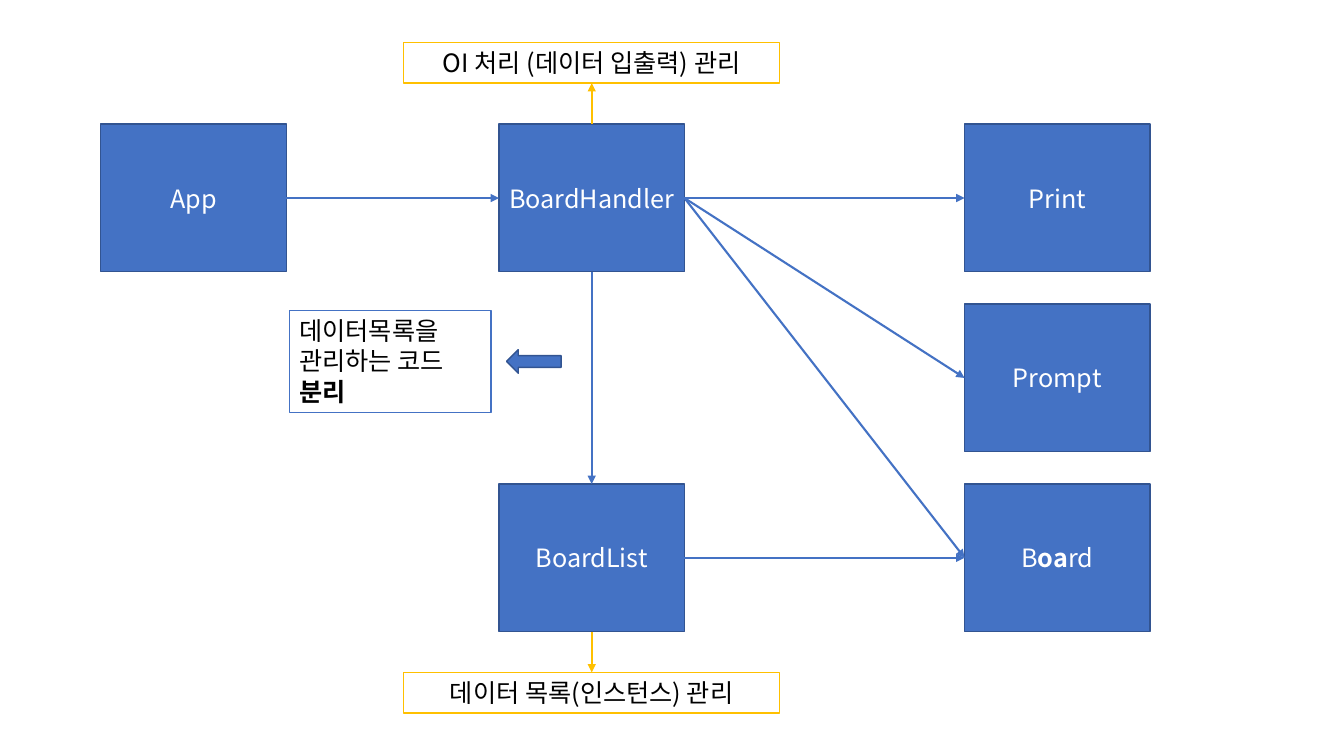
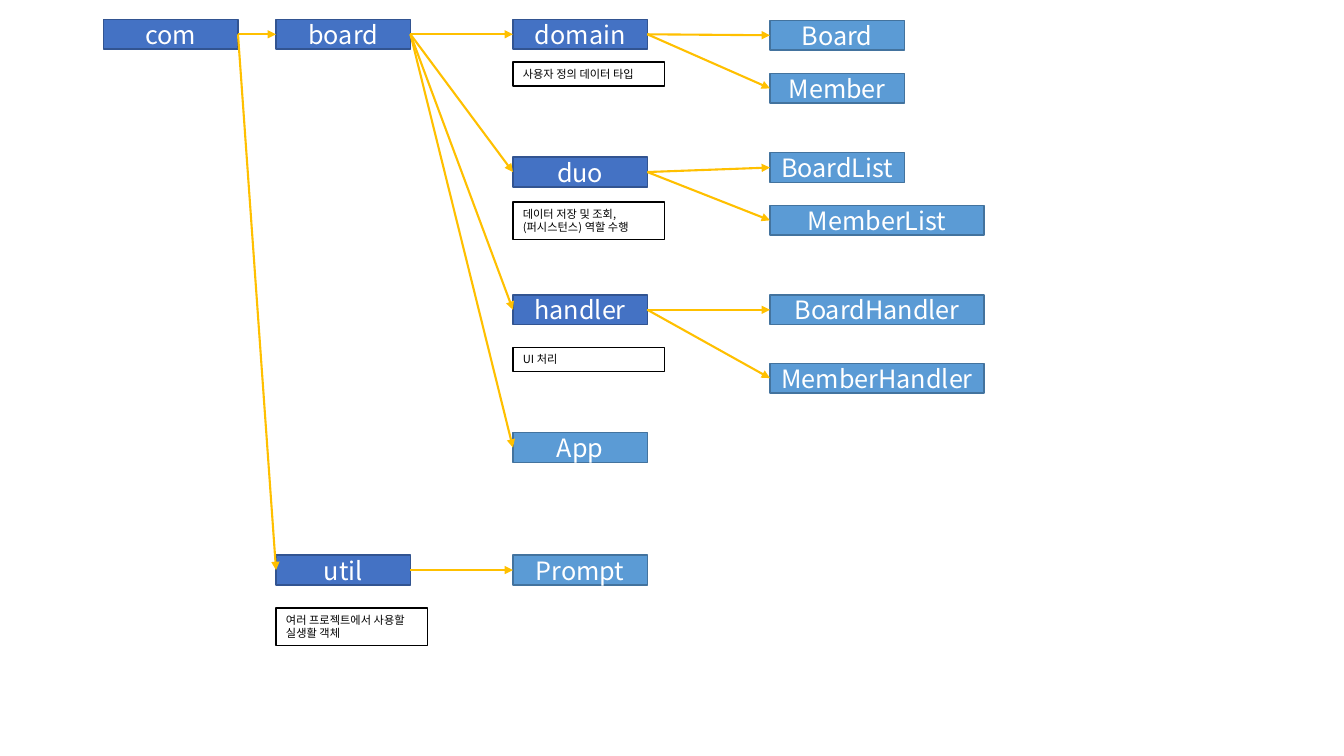
from lxml.etree import SubElement
from pptx import Presentation
from pptx.dml.color import RGBColor
from pptx.enum.shapes import MSO_CONNECTOR, MSO_SHAPE
from pptx.enum.text import MSO_ANCHOR, MSO_AUTO_SIZE, PP_ALIGN
from pptx.oxml.ns import qn
from pptx.util import Pt

FONT = "Noto Sans CJK KR"
WHITE = RGBColor(0xFF, 0xFF, 0xFF)
BLACK = RGBColor(0x00, 0x00, 0x00)
BLUE = RGBColor(0x44, 0x72, 0xC4)
DARK_BLUE = RGBColor(0x32, 0x54, 0x91)
SKY = RGBColor(0x5B, 0x9B, 0xD5)
DARK_SKY = RGBColor(0x43, 0x73, 0x9E)
GOLD = RGBColor(0xFF, 0xC0, 0x00)

# Connection sites of a rectangle
TOP, LEFT, BOTTOM, RIGHT = range(4)


def add_box(slide, area, fill, line, preset=MSO_SHAPE.RECTANGLE):
    shape = slide.shapes.add_shape(preset, *(Pt(length) for length in area))
    shape.shadow.inherit = False
    shape.fill.solid()
    shape.fill.fore_color.rgb = fill
    shape.line.color.rgb = line
    shape.line.width = Pt(1)
    return shape


def write(shape, lines, size, color, alignment):
    """Each line is a list of (text, bold) runs."""
    frame = shape.text_frame
    frame.word_wrap = True
    for index, runs in enumerate(lines):
        paragraph = frame.add_paragraph() if index else frame.paragraphs[0]
        paragraph.alignment = alignment
        paragraph.font.size = Pt(size)
        paragraph.font.color.rgb = color
        paragraph.font.name = FONT
        # Hangul takes the East Asian typeface
        defaults = paragraph._p.pPr.find(qn("a:defRPr"))
        SubElement(defaults, qn("a:ea"), typeface=FONT)
        for text, bold in runs:
            run = paragraph.add_run()
            run.text = text
            if bold:
                run.font.bold = True


def add_node(slide, area, runs, fill=BLUE, line=DARK_BLUE):
    shape = add_box(slide, area, fill, line)
    shape.text_frame.vertical_anchor = MSO_ANCHOR.MIDDLE
    write(shape, [runs], 18, WHITE, PP_ALIGN.CENTER)
    return shape


def add_note(slide, area, lines, line, size, alignment=PP_ALIGN.LEFT):
    shape = add_box(slide, area, WHITE, line)
    shape.text_frame.vertical_anchor = MSO_ANCHOR.TOP
    shape.text_frame.auto_size = MSO_AUTO_SIZE.SHAPE_TO_FIT_TEXT
    write(shape, lines, size, BLACK, alignment)
    return shape


def add_arrow(slide, start, end, color, start_site=RIGHT, end_site=LEFT):
    connector = slide.shapes.add_connector(MSO_CONNECTOR.STRAIGHT, 0, 0, 0, 0)
    connector.begin_connect(start, start_site)
    connector.end_connect(end, end_site)
    connector.line.color.rgb = color
    connector.line.width = Pt(1.5)
    SubElement(connector.line._get_or_add_ln(), qn("a:tailEnd"), type="triangle")
    SubElement(connector._element.spPr, qn("a:effectLst"))


def build_class_diagram(slide):
    # Classes on a grid of columns and rows
    columns = (72, 356.4, 689)
    top, pitch, width, height = 88.7, 128.5, 132.5, 105.5
    cells = {"App": (0, 0), "BoardHandler": (1, 0), "BoardList": (1, 2),
             "Print": (2, 0), "Prompt": (2, 1), "Board": (2, 2)}
    mixed = {"Board": [("B", False), ("oa", True), ("rd", False)]}
    nodes = {}
    for name, (column, row) in cells.items():
        area = (columns[column], top + row * pitch, width, height)
        nodes[name] = add_node(slide, area, mixed.get(name, [(name, False)]))

    # Calls between classes
    for start, end in (("App", "BoardHandler"), ("BoardHandler", "Print"),
                       ("BoardHandler", "Prompt"), ("BoardHandler", "Board"),
                       ("BoardList", "Board")):
        add_arrow(slide, nodes[start], nodes[end], BLUE)
    add_arrow(slide, nodes["BoardHandler"], nodes["BoardList"], BLUE, BOTTOM, TOP)

    # Responsibilities above and below
    for name, note_top, text, start_site, end_site in (
            ("BoardHandler", 30.3, "OI 처리 (데이터 입출력) 관리", TOP, BOTTOM),
            ("BoardList", 480.3, "데이터 목록(인스턴스) 관리", BOTTOM, TOP)):
        note = add_note(slide, (288.4, note_top, 268.5, 29.1), [[(text, False)]],
                        GOLD, 18, PP_ALIGN.CENTER)
        add_arrow(slide, nodes[name], note, GOLD, start_site, end_site)

    # Separated code
    add_note(slide, (206.8, 221.8, 144, 72.7),
             [[("데이터목록을", False)], [("관리하는 코드", False)], [("분리", True)]],
             BLUE, 18)
    add_box(slide, (361.8, 249.8, 39, 16.8), BLUE, DARK_BLUE, MSO_SHAPE.LEFT_ARROW)


def build_package_tree(slide):
    columns = (74, 197.2, 366.4, 550)
    top, pitch, util_top = 13.9, 98.4, 396.6
    narrow, wide, height = 96, 153, 21.2

    # Packages: name, column, top
    packages = (("com", 0, top), ("board", 1, top), ("util", 1, util_top),
                ("domain", 2, top), ("duo", 2, top + pitch),
                ("handler", 2, top + 2 * pitch))
    nodes = {}
    for name, column, node_top in packages:
        area = (columns[column], node_top, narrow, height)
        nodes[name] = add_node(slide, area, [(name, False)])

    # Classes: package, name, column, top, width
    classes = (("board", "App", 2, top + 3 * pitch, narrow),
               ("util", "Prompt", 2, util_top, narrow),
               ("domain", "Board", 3, 14.6, narrow),
               ("domain", "Member", 3, 52.5, narrow),
               ("duo", "BoardList", 3, 109.1, narrow),
               ("duo", "MemberList", 3, 146.8, wide),
               ("handler", "BoardHandler", 3, top + 2 * pitch, wide),
               ("handler", "MemberHandler", 3, 259.5, wide))
    for package, name, column, node_top, width in classes:
        area = (columns[column], node_top, width, height)
        node = add_node(slide, area, [(name, False)], SKY, DARK_SKY)
        add_arrow(slide, nodes[package], node, GOLD)

    # Package hierarchy
    for parent, child in (("com", "board"), ("com", "util"), ("board", "domain"),
                          ("board", "duo"), ("board", "handler")):
        add_arrow(slide, nodes[parent], nodes[child], GOLD)

    # Package descriptions: column, top, height, lines
    for column, note_top, note_height, lines in (
            (2, 44.4, 17, ["사용자 정의 데이터 타입"]),
            (2, 144.3, 26.7, ["데이터 저장 및 조회,", "(퍼시스턴스) 역할 수행"]),
            (2, 248.4, 17, ["UI 처리"]),
            (1, 434.3, 26.7, ["여러 프로젝트에서 사용할", "실생활 객체"])):
        add_note(slide, (columns[column], note_top, 108.4, note_height),
                 [[(line, False)] for line in lines], BLACK, 8)


def main():
    presentation = Presentation()
    presentation.slide_width = Pt(960)
    presentation.slide_height = Pt(540)
    blank = presentation.slide_layouts[6]
    for build in (build_class_diagram, build_package_tree):
        build(presentation.slides.add_slide(blank))
    presentation.save("out.pptx")


main()
